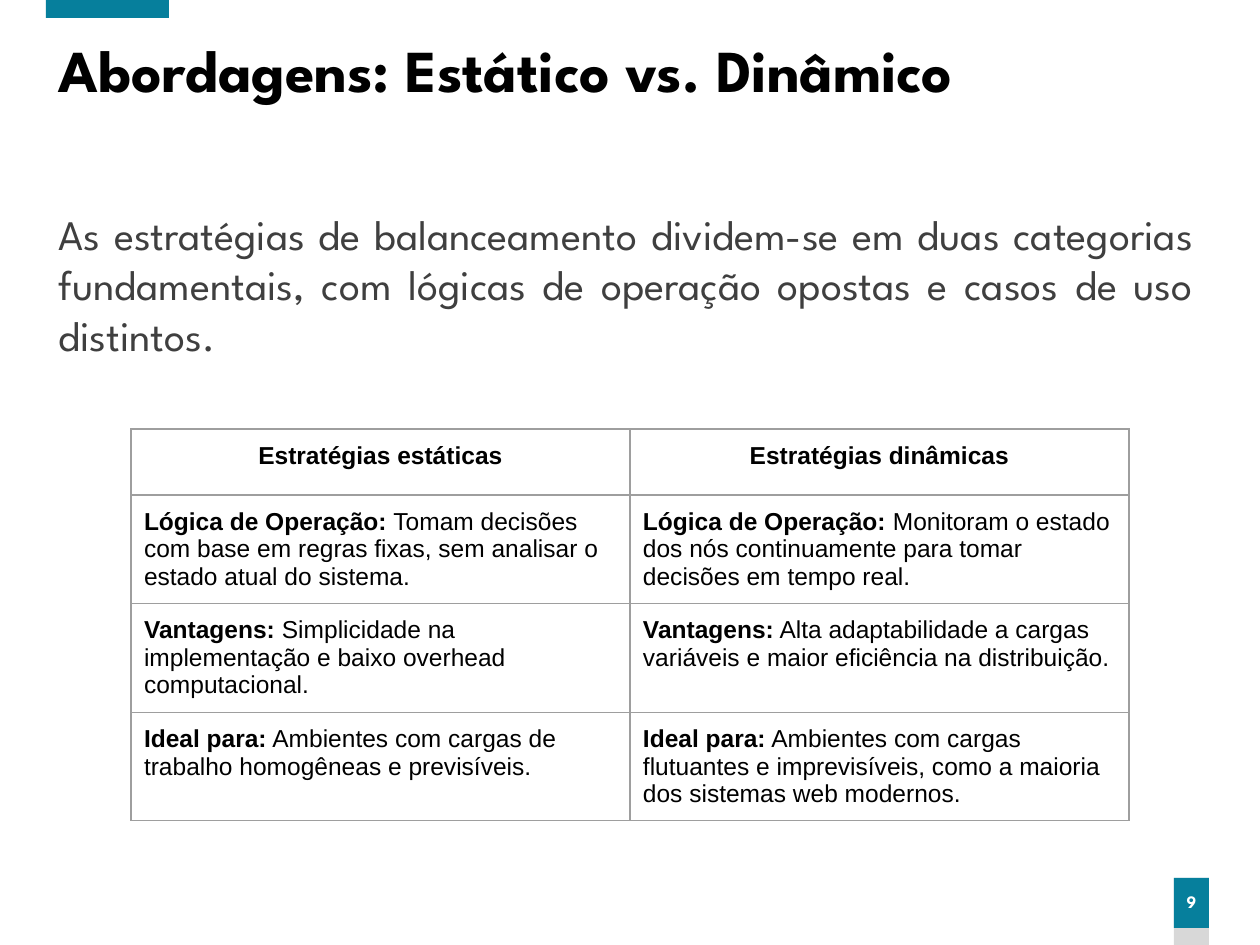
"""Build the slide comparing static and dynamic load balancing strategies."""
from lxml import etree
from pptx import Presentation
from pptx.dml.color import RGBColor
from pptx.enum.shapes import MSO_SHAPE
from pptx.enum.text import MSO_ANCHOR, MSO_AUTO_SIZE, PP_ALIGN
from pptx.oxml.ns import qn
from pptx.util import Emu, Pt

COLORS = {
    "teal": "067F9C",
    "light": "D8D8D8",
    "white": "FFFFFF",
    "black": "000000",
    "body": "3F3F3F",
    "border": "9E9E9E",
}
HEADING_FONT = "League Spartan"


def px(length):
    return Emu(round(length * 914400 / 126))


def write(frame, *texts, size, font=HEADING_FONT, color="black", bold=(False,),
          align=PP_ALIGN.LEFT, spacing=None, before=0):
    paragraph = frame.paragraphs[0]
    paragraph.alignment = align
    paragraph.line_spacing = spacing
    paragraph.space_before = Pt(before)
    for text, weight in zip(texts, bold):
        run = paragraph.add_run()
        run.text = text
        run.font.size = Pt(size)
        run.font.name = font
        run.font.bold = weight
        run.font.color.rgb = RGBColor.from_string(COLORS[color])
    return paragraph


presentation = Presentation()
presentation.slide_width, presentation.slide_height = px(1260), px(945)
slide = presentation.slides.add_slide(presentation.slide_layouts[1])

for left, top, width, height, color in [
    (46, 0, 123, 18, "teal"),
    (1174, 878, 35, 67, "light"),
    (1174, 878, 35, 50, "teal"),
]:
    block = slide.shapes.add_shape(
        MSO_SHAPE.RECTANGLE, px(left), px(top), px(width), px(height))
    block.shadow.inherit = False
    block.fill.solid()
    block.fill.fore_color.rgb = RGBColor.from_string(COLORS[color])
    block.line.fill.background()

page_number = block.text_frame
page_number.margin_left = page_number.margin_right = 0
page_number.vertical_anchor = MSO_ANCHOR.MIDDLE
write(page_number, "9", size=10, color="white", bold=(True,),
      align=PP_ALIGN.CENTER, spacing=0.9)

title = slide.shapes.title
title.left, title.top, title.width, title.height = px(46), px(34), px(1155), px(78)
title.text_frame.vertical_anchor = MSO_ANCHOR.MIDDLE
title.text_frame.auto_size = MSO_AUTO_SIZE.SHAPE_TO_FIT_TEXT
write(title.text_frame, "Abordagens: Estático vs. Dinâmico",
      size=34, bold=(True,), spacing=0.9)

intro = slide.placeholders[1]
intro.left, intro.top, intro.width, intro.height = px(46), px(202), px(1160), px(658)
intro.text_frame.auto_size = MSO_AUTO_SIZE.NONE
intro_paragraph = write(
    intro.text_frame,
    "As estratégias de balanceamento dividem-se em duas categorias fundamentais, "
    "com lógicas de operação opostas e casos de uso distintos.",
    size=24, color="body", align=PP_ALIGN.JUSTIFY, before=18)
intro_format = intro_paragraph._p.get_or_add_pPr()
intro_format.set("marL", "0")
intro_format.set("indent", "0")
etree.SubElement(intro_format, qn("a:buNone"))

strategies = [
    [("Estratégias estáticas",), ("Estratégias dinâmicas",)],
    [("Lógica de Operação:", " Tomam decisões com base em regras fixas, "
      "sem analisar o estado atual do sistema."),
     ("Lógica de Operação:", " Monitoram o estado dos nós continuamente "
      "para tomar decisões em tempo real.")],
    [("Vantagens:", " Simplicidade na implementação e baixo overhead computacional."),
     ("Vantagens:", " Alta adaptabilidade a cargas variáveis e maior eficiência "
      "na distribuição.")],
    [("Ideal para:", " Ambientes com cargas de trabalho homogêneas e previsíveis."),
     ("Ideal para:", " Ambientes com cargas flutuantes e imprevisíveis, como a "
      "maioria dos sistemas web modernos.")],
]
row_heights = [66, 108, 108, 108]
comparison = slide.shapes.add_table(
    4, 2, px(131), px(429), px(998), px(sum(row_heights))).table
comparison.first_row = comparison.horz_banding = False
for column in comparison.columns:
    column.width = px(499)

for row_index, (row, height) in enumerate(zip(strategies, row_heights)):
    comparison.rows[row_index].height = px(height)
    for column_index, texts in enumerate(row):
        cell = comparison.cell(row_index, column_index)
        cell.margin_left = cell.margin_right = px(13)
        cell.margin_top = cell.margin_bottom = px(13)
        write(cell.text_frame, *texts, size=14, font="Arial", bold=(True, False),
              align=PP_ALIGN.LEFT if row_index else PP_ALIGN.CENTER)
        cell_format = cell._tc.get_or_add_tcPr()
        for side in ("lnL", "lnR", "lnT", "lnB"):
            border = etree.SubElement(cell_format, qn(f"a:{side}"), w=str(Pt(0.75)))
            border_fill = etree.SubElement(border, qn("a:solidFill"))
            etree.SubElement(border_fill, qn("a:srgbClr"), val=COLORS["border"])
        cell.fill.background()

presentation.save("out.pptx")
